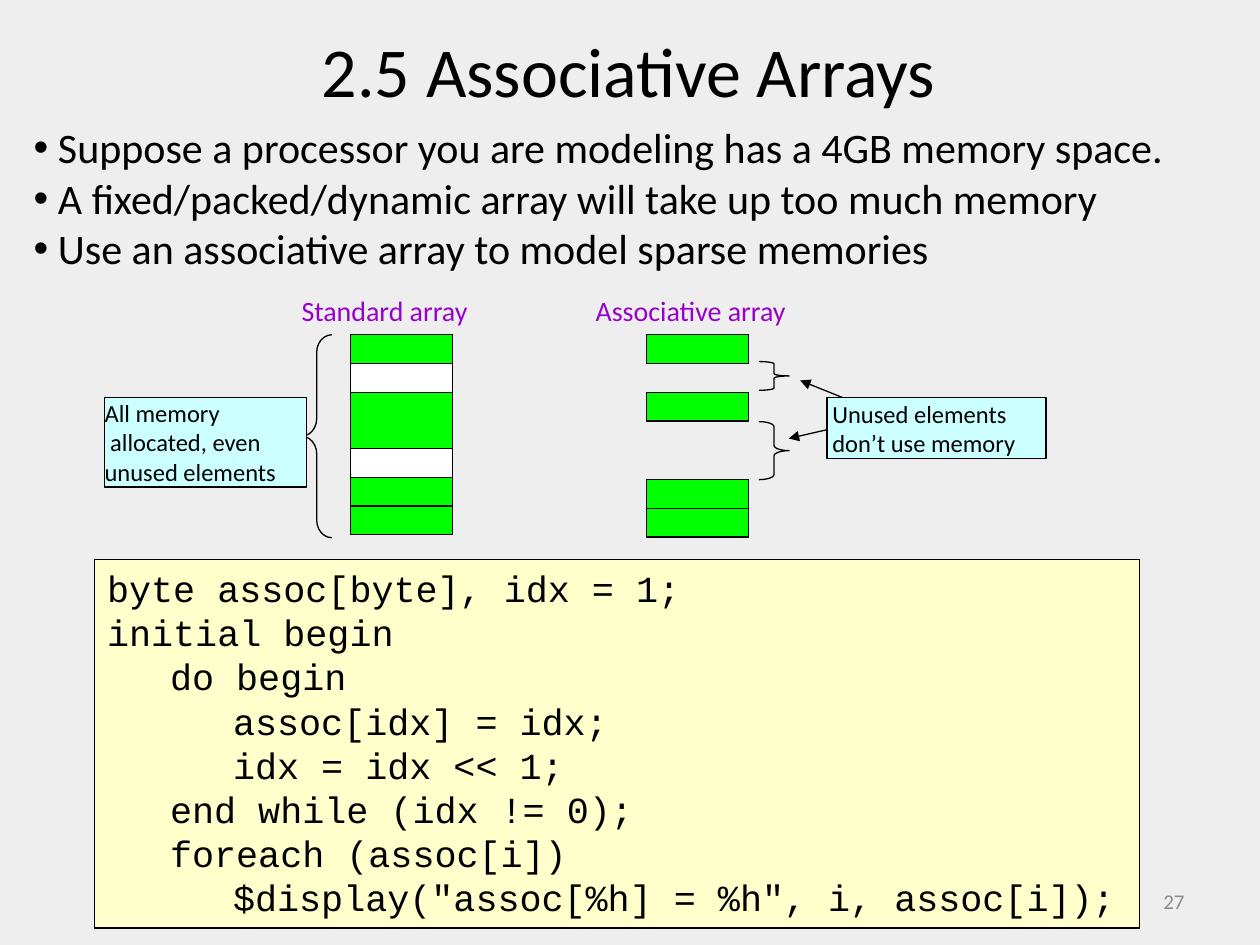
from typing import NamedTuple

from pptx import Presentation
from pptx import util as u
from pptx.dml.color import RGBColor
from pptx.enum import shapes, text
from pptx.oxml import ns, xmlchemy

BLACK, GREY, PURPLE = "000000", "8C8C8C", "9900CC"
GREEN, WHITE, CYAN, CREAM = "00FF00", "FFFFFF", "CCFFFF", "FFFFCC"
INSET = (0.25, 0.13, 0.25, 0.13)
NO_INSET = (0, 0, 0, 0)
CELL_W, CELL_H, MEMORY_TOP = 2.06, 0.58, 6.75
STANDARD_X, ASSOCIATIVE_X = 7.07, 13.03
LEVEL_INDENT = 1.27


class Box(NamedTuple):
    left: float
    top: float
    width: float
    height: float


class Line(NamedTuple):
    words: str
    level: int = 0


class Style(NamedTuple):
    size: float
    color: str = BLACK
    font: str = "Calibri"
    align: text.PP_ALIGN = text.PP_ALIGN.LEFT
    anchor: text.MSO_ANCHOR = text.MSO_ANCHOR.TOP
    inset: tuple = NO_INSET
    bullet: str = ""


class Cells(NamedTuple):
    """A run of memory drawn as one block; row and rows count cell heights."""
    row: float
    fill: str = GREEN
    rows: float = 1


class Brace(NamedTuple):
    box: Box
    curl: float
    flipped: bool = False


class Arrow(NamedTuple):
    start: tuple
    end: tuple


def rgb(value: str) -> RGBColor:
    return RGBColor.from_string(value)


def cm(values) -> list:
    return [u.Cm(value) for value in values]


def child(parent, tag: str, **attributes):
    element = xmlchemy.OxmlElement(tag)
    for name, value in attributes.items():
        element.set(name, value)
    parent.append(element)
    return element


def write(shape, lines: list, style: Style) -> None:
    frame = shape.text_frame
    margins = ("margin_left", "margin_top", "margin_right", "margin_bottom")
    settings = dict(zip(margins, cm(style.inset)), word_wrap=True,
                    auto_size=text.MSO_AUTO_SIZE.NONE,
                    vertical_anchor=style.anchor)
    for name, value in settings.items():
        setattr(frame, name, value)
    for index, line in enumerate(lines):
        paragraph = frame.add_paragraph() if index else frame.paragraphs[0]
        properties = paragraph._p.get_or_add_pPr()
        if style.bullet:
            hang = u.Cm(0.49)
            properties.set("marL", str(hang))
            properties.set("indent", str(-hang))
            child(properties, "a:buFont", typeface="Arial")
            child(properties, "a:buChar", char=style.bullet)
        elif line.level:
            properties.set("marL", str(u.Cm(LEVEL_INDENT * line.level)))
            properties.set("indent", "0")
        paragraph.text = line.words
        paragraph.level = line.level
        paragraph.alignment = style.align
        font = {"name": style.font, "size": u.Pt(style.size)}
        for name, value in font.items():
            setattr(paragraph.font, name, value)
        paragraph.font.color.rgb = rgb(style.color)


def outline(shape) -> None:
    shape.line.color.rgb = rgb(BLACK)
    shape.line.width = u.Pt(0.75)


def add_label(slide, box: Box, lines: list, style: Style) -> None:
    write(slide.shapes.add_textbox(*cm(box)), lines, style)


def add_panel(slide, box: Box, fill: str):
    panel = slide.shapes.add_shape(shapes.MSO_SHAPE.RECTANGLE, *cm(box))
    panel.shadow.inherit = False
    panel.fill.solid()
    panel.fill.fore_color.rgb = rgb(fill)
    outline(panel)
    return panel


def add_memory(slide, left: float, blocks: list) -> None:
    for block in blocks:
        top = MEMORY_TOP + block.row * CELL_H
        add_panel(slide, Box(left, top, CELL_W, block.rows * CELL_H), block.fill)


def add_brace(slide, brace: Brace) -> None:
    kind = shapes.MSO_SHAPE.LEFT_BRACE if brace.flipped else shapes.MSO_SHAPE.RIGHT_BRACE
    shape = slide.shapes.add_shape(kind, *cm(brace.box))
    shape.shadow.inherit = False
    shape.fill.background()
    shape.adjustments[0] = brace.curl
    outline(shape)


def add_arrow(slide, arrow: Arrow) -> None:
    connector = slide.shapes.add_connector(
        shapes.MSO_CONNECTOR.STRAIGHT, *cm(arrow.start + arrow.end))
    outline(connector)
    child(connector.line._get_or_add_ln(), "a:tailEnd", type="triangle")
    child(connector._element.find(ns.qn("p:spPr")), "a:effectLst")


BULLETS = [Line("Suppose a processor you are modeling has a 4GB memory space."),
           Line("A fixed/packed/dynamic array will take up too much memory"),
           Line("Use an associative array to model sparse memories")]
CODE = [Line("byte assoc[byte], idx = 1;"),
        Line("initial begin"),
        Line("do begin", 1),
        Line("assoc[idx] = idx;", 2),
        Line("idx = idx << 1;", 2),
        Line("end while (idx != 0);", 1),
        Line("foreach (assoc[i])", 1),
        Line('$display("assoc[%h] = %h", i, assoc[i]);', 2)]
STANDARD = [Cells(0), Cells(1, WHITE), Cells(2, rows=2), Cells(3.95, WHITE),
            Cells(4.95), Cells(5.95)]
ASSOCIATIVE = [Cells(0), Cells(2), Cells(5.03), Cells(6.03)]
BRACES = [Brace(Box(6.08, 6.75, 0.61, 4.09), 0.58, True),
          Brace(Box(15.3, 7.29, 0.61, 0.58), 0.08),
          Brace(Box(15.3, 8.5, 0.61, 1.17), 0.17)]
ARROWS = [Arrow((17.15, 8.08), (16.13, 7.67)), Arrow((17.55, 8.46), (15.9, 8.84))]


def main() -> None:
    deck = Presentation()
    deck.slide_width, deck.slide_height = cm((25.4, 19.05))
    slide = deck.slides.add_slide(deck.slide_layouts[5])
    slide.background.fill.solid()
    slide.background.fill.fore_color.rgb = rgb("EEEEEE")

    title = slide.shapes.title
    title.left, title.top, title.width, title.height = cm((0.85, 0.43, 23.65, 1.96))
    write(title, [Line("2.5 Associative Arrays")],
          Style(40, align=text.PP_ALIGN.CENTER, inset=INSET))
    add_label(slide, Box(18.21, 17.65, 5.92, 1.02), [Line("27")],
              Style(12, GREY, align=text.PP_ALIGN.RIGHT,
                    anchor=text.MSO_ANCHOR.MIDDLE, inset=INSET))
    add_label(slide, Box(0.43, 2.33, 24.97, 9.5), BULLETS,
              Style(24, inset=INSET, bullet="•"))

    heading = Style(16, PURPLE)
    add_label(slide, Box(6.08, 5.92, 3.99, 0.69), [Line("Standard array")], heading)
    add_label(slide, Box(12.01, 5.92, 4.67, 0.69), [Line("Associative array")], heading)
    add_memory(slide, STANDARD_X, STANDARD)
    add_memory(slide, ASSOCIATIVE_X, ASSOCIATIVE)
    for brace in BRACES:
        add_brace(slide, brace)
    for arrow in ARROWS:
        add_arrow(slide, arrow)

    allocated = add_panel(slide, Box(2.11, 8.02, 4.07, 1.8), CYAN)
    write(allocated, [Line("All memory"), Line(" allocated, even"),
                      Line("unused elements")], Style(14))
    unused = add_panel(slide, Box(16.67, 8.02, 4.42, 1.22), CYAN)
    write(unused, [Line("Unused elements"), Line("don’t use memory")],
          Style(14, anchor=text.MSO_ANCHOR.MIDDLE, inset=(0.11, 0, 0, 0)))
    code = add_panel(slide, Box(1.91, 11.28, 21.06, 7.43), CREAM)
    write(code, CODE, Style(21, font="Courier New", inset=INSET))
    deck.save("out.pptx")


if __name__ == "__main__":
    main()
